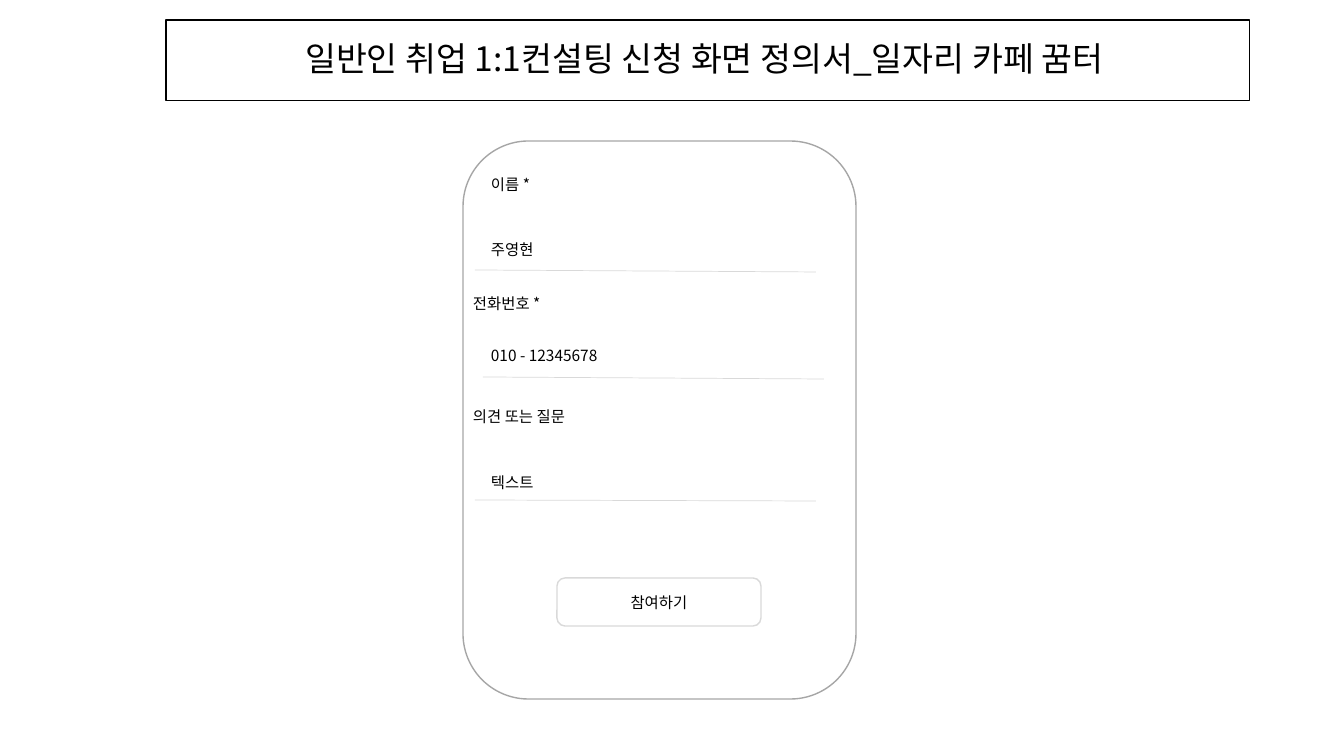
from lxml import etree
from pptx import Presentation, util as u
from pptx.dml.color import RGBColor
from pptx.enum import shapes as sh, text as t
from pptx.oxml.ns import qn

PX = 914400 / 100.8
FONT = "Noto Sans CJK KR"
COLORS = {"ink": "000000", "frame": "A6A6A6", "rule": "D9D9D9"}

# left, top, width, text
FIELDS = [
    (481, 170, 90, "이름 *"),
    (481, 235, 104, "주영현"),
    (463, 289, 104, "전화번호 *"),
    (481, 341, 131, "010 - 12345678"),
    (463, 402, 166, "의견 또는 질문"),
    (481, 468, 131, "텍스트"),
]
# left, top, drop
RULES = [(475, 270, 2), (483, 377, 2), (475, 500, 1)]
RULE_W = 341


def emu(*vals):
    return [u.Emu(round(v * PX)) for v in vals]


def color(name):
    return RGBColor.from_string(COLORS[name])


def write(shape, words, size=11, align=t.PP_ALIGN.LEFT, anchor=t.MSO_ANCHOR.TOP,
          space=None, wrap=True):
    frame = shape.text_frame
    frame.word_wrap = wrap
    frame.vertical_anchor = anchor
    para = frame.paragraphs[0]
    para.alignment = align
    para.line_spacing = space
    run = para.add_run()
    run.text = words
    font = run.font
    font.size, font.name = u.Pt(size), FONT
    font.color.rgb = color("ink")
    # Hangul takes its typeface from the East Asian font
    etree.SubElement(run._r.get_or_add_rPr(), qn("a:ea")).set("typeface", FONT)


def label(slide, left, top, width, words):
    write(slide.shapes.add_textbox(*emu(left, top, width, 35)), words)


def box(slide, kind, place, line, weight):
    shape = slide.shapes.add_shape(kind, *emu(*place))
    shape.shadow.inherit = False
    shape.fill.background()
    shape.line.color.rgb = color(line)
    shape.line.width = u.Pt(weight)
    return shape


def rule(slide, left, top, drop):
    line = slide.shapes.add_connector(
        sh.MSO_CONNECTOR.STRAIGHT, *emu(left, top, left + RULE_W, top + drop))
    line.line.color.rgb = color("rule")
    line.line.width = u.Pt(0.5)
    etree.SubElement(line._element.spPr, qn("a:effectLst"))


def main():
    prs = Presentation()
    prs.slide_width, prs.slide_height = emu(1344, 756)
    slide = prs.slides.add_slide(prs.slide_layouts[6])
    kind = sh.MSO_SHAPE
    mid = {"align": t.PP_ALIGN.CENTER, "anchor": t.MSO_ANCHOR.MIDDLE}

    box(slide, kind.ROUNDED_RECTANGLE, (463, 141, 393, 558), "frame", 1)
    button = box(slide, kind.ROUNDED_RECTANGLE, (557, 578, 204, 48), "rule", 1)
    write(button, "참여하기", **mid)
    for field in FIELDS:
        label(slide, *field)
    for place in RULES:
        rule(slide, *place)

    title = box(slide, kind.RECTANGLE, (166, 20, 1084, 81), "ink", 0.75)
    write(title, "일반인 취업 1:1컨설팅 신청 화면 정의서_일자리 카페 꿈터 ",
          size=24, space=0.9, **mid)
    prs.save("out.pptx")


if __name__ == "__main__":
    main()
